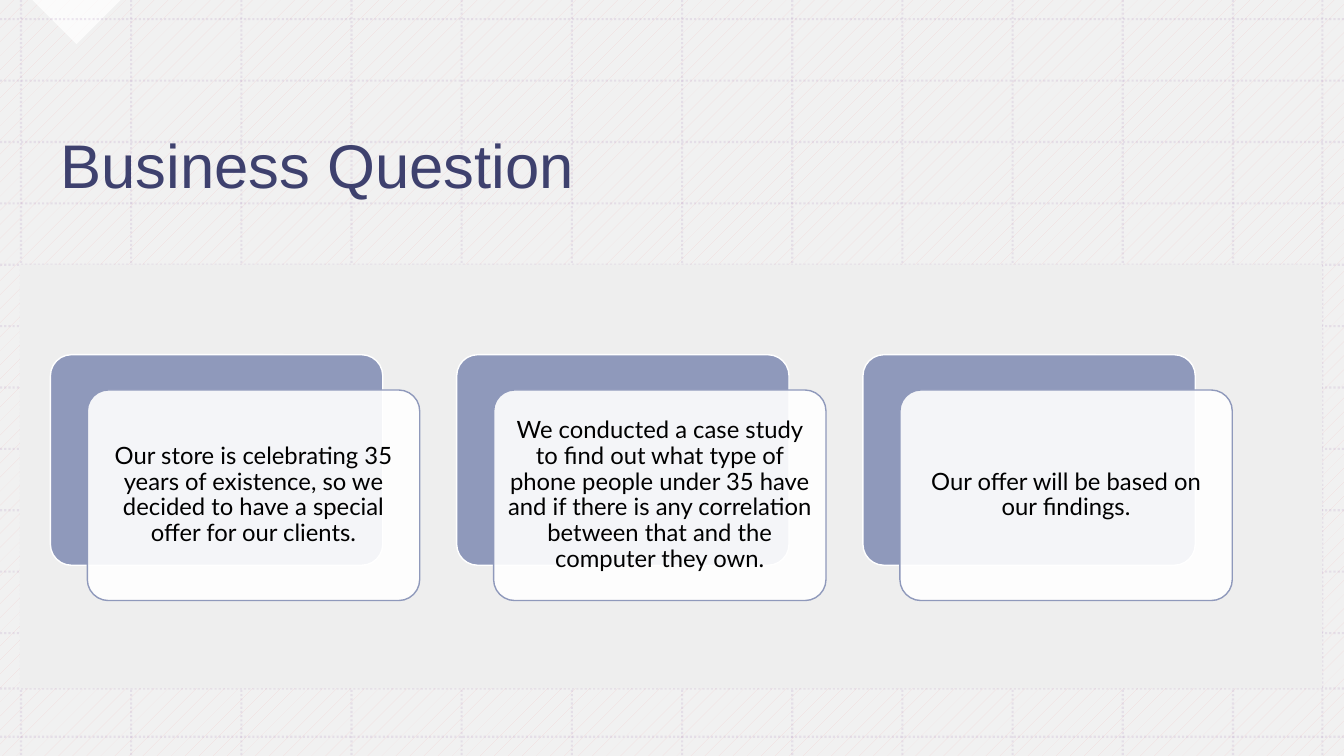
from dataclasses import dataclass
from pptx import Presentation
from pptx import util as u
from pptx.dml.color import RGBColor
from pptx.enum import dml, shapes, text
from pptx.oxml import ns, xmlchemy


@dataclass(frozen=True)
class Theme:
    paper: str = "FFFFFF"
    speckle: str = "FD8686"
    veil: str = "EEEEEE"
    lattice: str = "B495C2"
    heading: str = "12154E"
    card: str = "8F99BB"
    ink: str = "000000"
    heading_font: str = "Arial"
    body_font: str = "Lato"
    heading_size: float = 44
    body_size: float = 17


THEME = Theme()
WIDTH, HEIGHT = 960, 540
ANSWERS = [
    "Our store is celebrating 35 years of existence, so we decided to have a special offer for our clients.",
    "We conducted a case study to find out what type of phone people under 35 have and if there is any "
    "correlation between that and the computer they own.",
    "Our offer will be based on our findings.",
]


def rgb(code):
    return RGBColor.from_string(code)


def fade(element, percent):
    for color in element.iter(ns.qn("a:srgbClr")):
        alpha = xmlchemy.OxmlElement("a:alpha")
        alpha.set("val", str(percent * 1000))
        color.append(alpha)


def add_block(parent, kind, box, fill, opacity=100, outline=None):
    block = parent.add_shape(kind, *map(u.Pt, box))
    block.shadow.inherit = False
    block.fill.solid()
    block.fill.fore_color.rgb = rgb(fill)
    if opacity < 100:
        fade(block.element, opacity)
    if outline:
        block.line.color.rgb = rgb(outline)
        block.line.width = u.Pt(1)
    else:
        block.line.fill.background()
    return block


def format_text(frame, font_name, size, color, align):
    frame.word_wrap = True
    frame.vertical_anchor = text.MSO_ANCHOR.MIDDLE
    paragraph = frame.paragraphs[0]
    paragraph.alignment = align
    paragraph.line_spacing = 0.9
    font = paragraph.runs[0].font
    font.name, font.size = font_name, u.Pt(size)
    font.color.rgb = rgb(color)


def add_lattice(slide, box):
    left, top, width, height = box
    columns = [left + 15 + 78.7 * i for i in range(12)] + [left + 944.6]
    rows = [top + 13.7 + 43.85 * i for i in range(11)] + [top + 491.8, top + 526.3]
    ends = [(x, top, x, top + height) for x in columns]
    ends += [(left, y, left + width, y) for y in rows]
    lattice = slide.shapes.add_group_shape()
    for points in ends:
        rule = lattice.shapes.add_connector(shapes.MSO_CONNECTOR.STRAIGHT, *map(u.Pt, points))
        rule.line.color.rgb = rgb(THEME.lattice)
        rule.line.width = u.Pt(1.5)
        rule.line.dash_style = dml.MSO_LINE.ROUND_DOT
        fade(rule.element, 20)
        rule.element.spPr.append(xmlchemy.OxmlElement("a:effectLst"))


def add_backdrop(slide, box):
    left, top, _, _ = box
    paper = slide.background.fill
    paper.patterned()
    paper.pattern = dml.MSO_PATTERN.PERCENT_5
    paper.fore_color.rgb = rgb(THEME.speckle)
    paper.back_color.rgb = rgb(THEME.paper)
    add_block(slide.shapes, shapes.MSO_SHAPE.RECTANGLE, box, THEME.veil, 80)
    notch = add_block(slide.shapes, shapes.MSO_SHAPE.RIGHT_TRIANGLE,
                      (left + 32.4, top - 22.3, 44.6, 44.6), THEME.paper, 75)
    notch.rotation = 315
    add_lattice(slide, box)


def add_heading(slide, box, wording):
    heading = slide.shapes.title
    heading.element.getparent().append(heading.element)
    heading.left, heading.top, heading.width, heading.height = map(u.Pt, box)
    heading.text_frame.text = wording
    heading.text_frame.auto_size = text.MSO_AUTO_SIZE.NONE
    format_text(heading.text_frame, THEME.heading_font, THEME.heading_size,
                THEME.heading, text.PP_ALIGN.LEFT)
    fade(heading.element, 80)


def add_card(parent, box, wording):
    left, top, width, height = box
    rounded = shapes.MSO_SHAPE.ROUNDED_RECTANGLE
    back = add_block(parent, rounded, box, THEME.card, outline=THEME.paper)
    front = add_block(parent, rounded, (left + 26.4, top + 25.2, width, height),
                      THEME.paper, 90, THEME.card)
    for layer in (back, front):
        layer.adjustments[0] = 0.1
    frame = front.text_frame
    frame.margin_left = frame.margin_right = frame.margin_top = frame.margin_bottom = u.Pt(5)
    frame.text = wording
    format_text(frame, THEME.body_font, THEME.body_size, THEME.ink, text.PP_ALIGN.CENTER)


def add_answers(slide, box, answers):
    left, top, _, _ = box
    add_block(slide.shapes, shapes.MSO_SHAPE.RECTANGLE, box, THEME.veil)
    cards = slide.shapes.add_group_shape()
    for i, answer in enumerate(answers):
        add_card(cards.shapes, (left + 21.6 + 290.2 * i, top + 64.4, 237.4, 150.4), answer)


def build_question_slide(deck):
    slide = deck.slides.add_slide(deck.slide_layouts[5])
    add_backdrop(slide, (0, 0, WIDTH, HEIGHT))
    add_heading(slide, (36, 56.9, 846, 126.7), "Business Question")
    add_answers(slide, (14.4, 189, 929.8, 302.6), ANSWERS)


deck = Presentation()
deck.slide_width, deck.slide_height = u.Pt(WIDTH), u.Pt(HEIGHT)
build_question_slide(deck)
deck.save("out.pptx")
